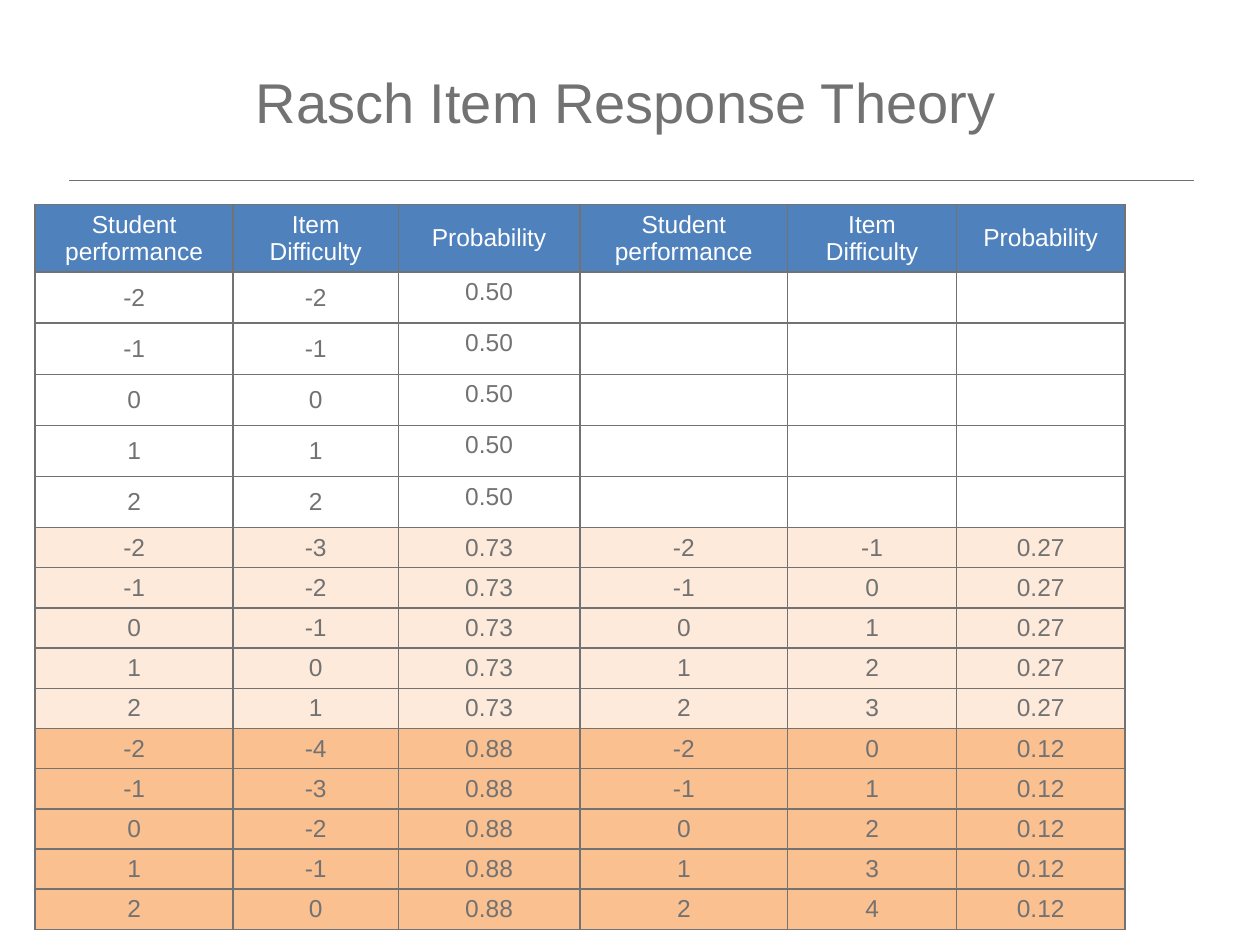
"""Build a slide with a table of Rasch item response probabilities."""
import math

import lxml.etree
import pptx
import pptx.dml.color
import pptx.enum.shapes
import pptx.enum.text
import pptx.oxml.ns
import pptx.util

Cm = pptx.util.Cm
Pt = pptx.util.Pt
MIDDLE = pptx.enum.text.MSO_ANCHOR.MIDDLE
TOP = pptx.enum.text.MSO_ANCHOR.TOP
LEFT = pptx.enum.text.PP_ALIGN.LEFT
CENTER = pptx.enum.text.PP_ALIGN.CENTER

HEADINGS = ["Student performance", "Item Difficulty", "Probability"] * 2
COLUMN_WIDTHS = [3.99, 3.33, 3.66, 4.19, 3.4, 3.4]
ABILITIES = range(-2, 3)
GAP_FILLS = {0: None, 1: "FDEADA", 2: "FAC090"}


def color(hex_string):
    return pptx.dml.color.RGBColor.from_string(hex_string)


def rasch_columns(ability, gap):
    probability = 1 / (1 + math.exp(-gap))
    return [str(ability), str(ability - gap), f"{probability:.2f}"]


class RaschSlide:
    font = "Arial"
    gray = "727272"
    white = "FFFFFF"
    blue = "4F81BD"

    def __init__(self, presentation):
        self.slide = presentation.slides.add_slide(presentation.slide_layouts[5])

    def add_text(self, frame, text, size, hex_string, align):
        paragraph = frame.paragraphs[0]
        paragraph.alignment = align
        run = paragraph.add_run()
        run.text = text
        run.font.name = self.font
        run.font.size = Pt(size)
        run.font.bold = False
        run.font.color.rgb = color(hex_string)

    def title(self, text, left, top, width, height):
        heading = self.slide.shapes.title
        heading.left, heading.top = Cm(left), Cm(top)
        heading.width, heading.height = Cm(width), Cm(height)
        heading.text_frame.vertical_anchor = MIDDLE
        self.add_text(heading.text_frame, text, 32, self.gray, LEFT)

    def rule(self, left, top, width):
        divider = self.slide.shapes.add_connector(
            pptx.enum.shapes.MSO_CONNECTOR.STRAIGHT,
            Cm(left), Cm(top), Cm(left + width), Cm(top))
        divider.line.color.rgb = color(self.gray)
        divider.line.width = Pt(0.5)
        lxml.etree.SubElement(
            divider._element.spPr, pptx.oxml.ns.qn("a:effectLst"))

    def borders(self, cell):
        properties = cell._tc.get_or_add_tcPr()
        for position, side in enumerate(("a:lnL", "a:lnR", "a:lnT", "a:lnB")):
            edge = lxml.etree.Element(pptx.oxml.ns.qn(side), w=str(Pt(1)))
            fill = lxml.etree.SubElement(edge, pptx.oxml.ns.qn("a:solidFill"))
            lxml.etree.SubElement(
                fill, pptx.oxml.ns.qn("a:srgbClr"), val=self.gray)
            properties.insert(position, edge)

    def cell(self, cell, text, hex_string, fill, anchor):
        if fill:
            cell.fill.solid()
            cell.fill.fore_color.rgb = color(fill)
        else:
            cell.fill.background()
        self.borders(cell)
        if text:
            cell.vertical_anchor = anchor
            self.add_text(cell.text_frame, text, 14, hex_string, CENTER)

    def table(self, left, top, height):
        row_count = 1 + len(GAP_FILLS) * len(ABILITIES)
        frame = self.slide.shapes.add_table(
            row_count, len(HEADINGS), Cm(left), Cm(top),
            Cm(sum(COLUMN_WIDTHS)), Cm(height))
        grid = frame.table
        grid.first_row = grid.horz_banding = False
        for column, width in zip(grid.columns, COLUMN_WIDTHS):
            column.width = Cm(width)
        for index, row in enumerate(grid.rows):
            row.height = Cm(0.76 if index else 1.09)
        frame.height = Cm(height)

        for index, heading in enumerate(HEADINGS):
            self.cell(grid.cell(0, index), heading, self.white, self.blue, MIDDLE)

        row_index = 1
        for gap, fill in GAP_FILLS.items():
            centered = (0, 3) if gap else (0, 1)
            for ability in ABILITIES:
                mirrored = rasch_columns(ability, -gap) if gap else [""] * 3
                for index, value in enumerate(rasch_columns(ability, gap) + mirrored):
                    anchor = MIDDLE if index in centered else TOP
                    self.cell(grid.cell(row_index, index), value, self.gray, fill, anchor)
                row_index += 1


def main():
    presentation = pptx.Presentation()
    presentation.slide_width, presentation.slide_height = Cm(25.4), Cm(19.05)
    rasch = RaschSlide(presentation)
    rasch.rule(1.4, 3.63, 22.66)
    rasch.table(0.71, 4.12, 14.15)
    rasch.title("Rasch Item Response Theory", 4.9, 0.91, 17.2, 2.26)
    presentation.save("out.pptx")


if __name__ == "__main__":
    main()
